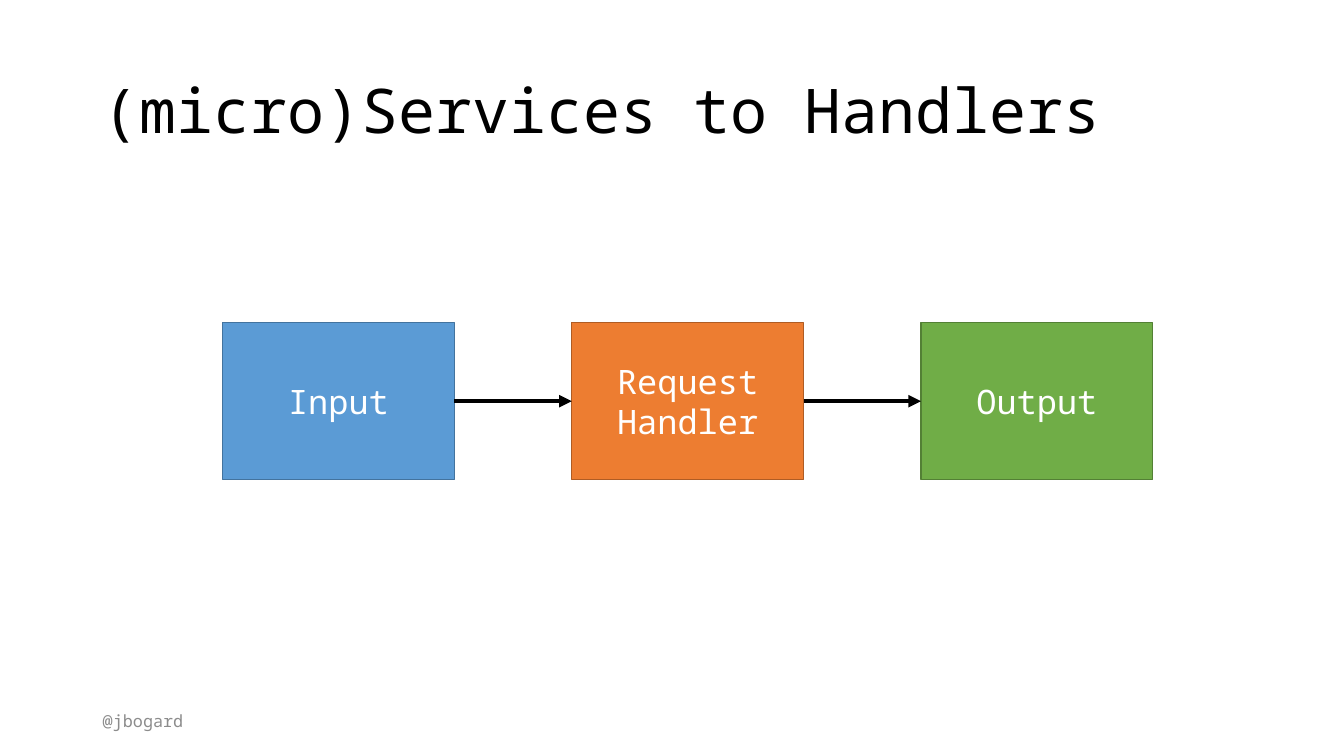
"""Builds a slide that shows a request handler between input and output."""
from lxml import etree
from pptx import Presentation
from pptx.dml.color import RGBColor
from pptx.enum.shapes import MSO_CONNECTOR, MSO_SHAPE
from pptx.enum.text import MSO_ANCHOR, PP_ALIGN
from pptx.oxml.ns import qn
from pptx.util import Cm, Pt

LINE = MSO_CONNECTOR.STRAIGHT
RECT = MSO_SHAPE.RECTANGLE
MIDDLE = MSO_ANCHOR.MIDDLE
LEFT, CENTER = PP_ALIGN.LEFT, PP_ALIGN.CENTER
LEFT_SIDE, RIGHT_SIDE = 1, 3

BLACK = RGBColor(0x00, 0x00, 0x00)
WHITE = RGBColor(0xFF, 0xFF, 0xFF)
GRAY = RGBColor(0x8C, 0x8C, 0x8C)
BLUE = RGBColor(0x5B, 0x9B, 0xD5)
NAVY = RGBColor(0x43, 0x73, 0x9E)
ORANGE = RGBColor(0xED, 0x7D, 0x31)
RUST = RGBColor(0xAF, 0x5C, 0x24)
GREEN = RGBColor(0x70, 0xAD, 0x47)
MOSS = RGBColor(0x53, 0x80, 0x35)


class Board:
    font = "Noto Sans Mono"

    def __init__(self, slide):
        self.slide = slide

    def words(self, shape, text, size, color, align):
        frame = shape.text_frame
        frame.word_wrap = True
        frame.vertical_anchor = MIDDLE
        para = frame.paragraphs[0]
        para.alignment = align
        run = para.add_run()
        run.text = text
        run.font.name = self.font
        run.font.size = Pt(size)
        run.font.color.rgb = color
        return para

    def label(self, text, left, top, width, height, size, color):
        box = self.slide.shapes.add_textbox(
            Cm(left), Cm(top), Cm(width), Cm(height))
        return self.words(box, text, size, color, LEFT)

    def block(self, text, left, top, width, height, fill, edge):
        rect = self.slide.shapes.add_shape(
            RECT, Cm(left), Cm(top), Cm(width), Cm(height))
        rect.shadow.inherit = False
        rect.fill.solid()
        rect.fill.fore_color.rgb = fill
        rect.line.color.rgb = edge
        rect.line.width = Pt(1)
        self.words(rect, text, 24, WHITE, CENTER)
        return rect

    def arrow(self, start, end):
        link = self.slide.shapes.add_connector(LINE, 0, 0, 0, 0)
        link.begin_connect(start, RIGHT_SIDE)
        link.end_connect(end, LEFT_SIDE)
        link.line.color.rgb = BLACK
        link.line.width = Pt(3)
        props = link.element.spPr
        etree.SubElement(props.find(qn("a:ln")), qn("a:tailEnd"),
                         type="triangle")
        etree.SubElement(props, qn("a:effectLst"))


def main():
    deck = Presentation()
    deck.slide_width, deck.slide_height = Cm(33.87), Cm(19.05)
    board = Board(deck.slides.add_slide(deck.slide_layouts[6]))

    title = board.label("(micro)Services to Handlers",
                        2.34, 1.02, 29.21, 3.68, 44, BLACK)
    title.line_spacing = 0.9

    steps = [("Input", BLUE, NAVY),
             ("Request Handler", ORANGE, RUST),
             ("Output", GREEN, MOSS)]
    blocks = [board.block(text, 5.61 + 8.8 * i, 8.13, 5.84, 3.96, fill, edge)
              for i, (text, fill, edge) in enumerate(steps)]
    for start, end in zip(blocks, blocks[1:]):
        board.arrow(start, end)

    board.label("@jbogard", 2.34, 17.65, 7.62, 1.02, 12, GRAY)
    deck.save("out.pptx")


if __name__ == "__main__":
    main()
